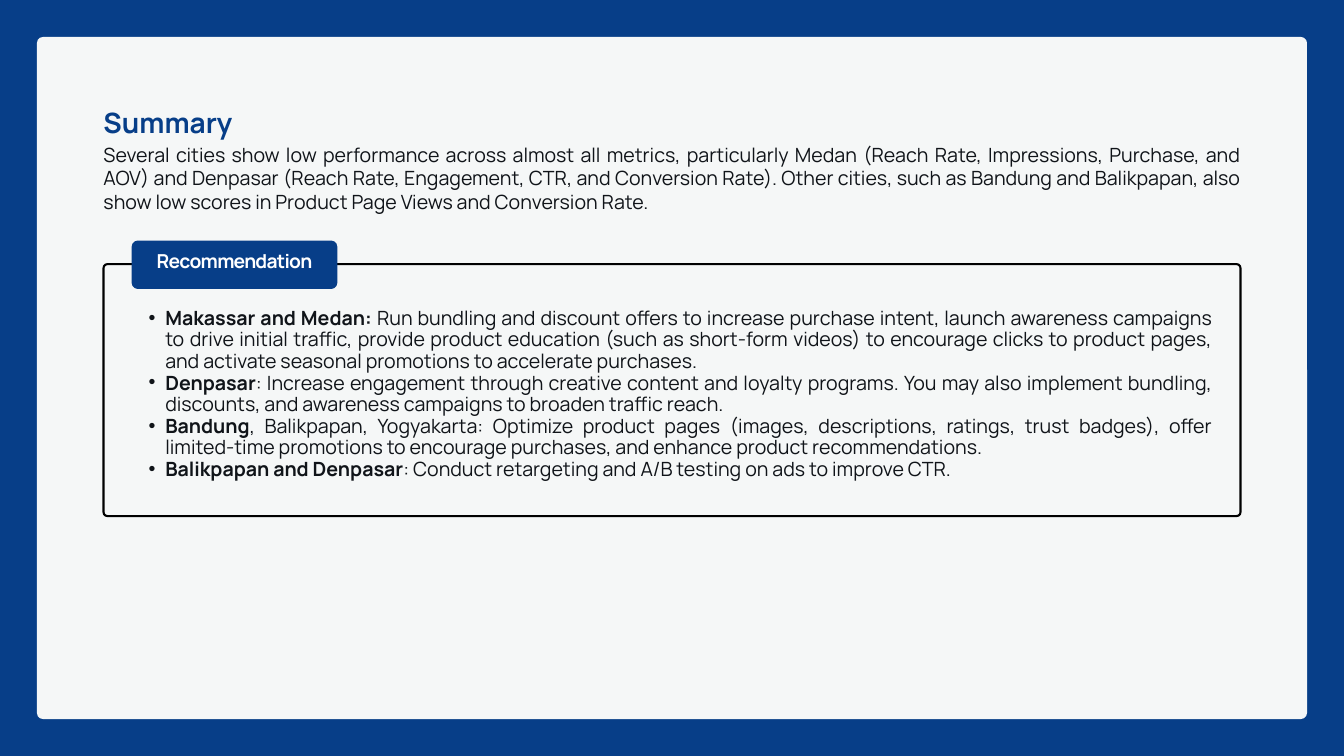
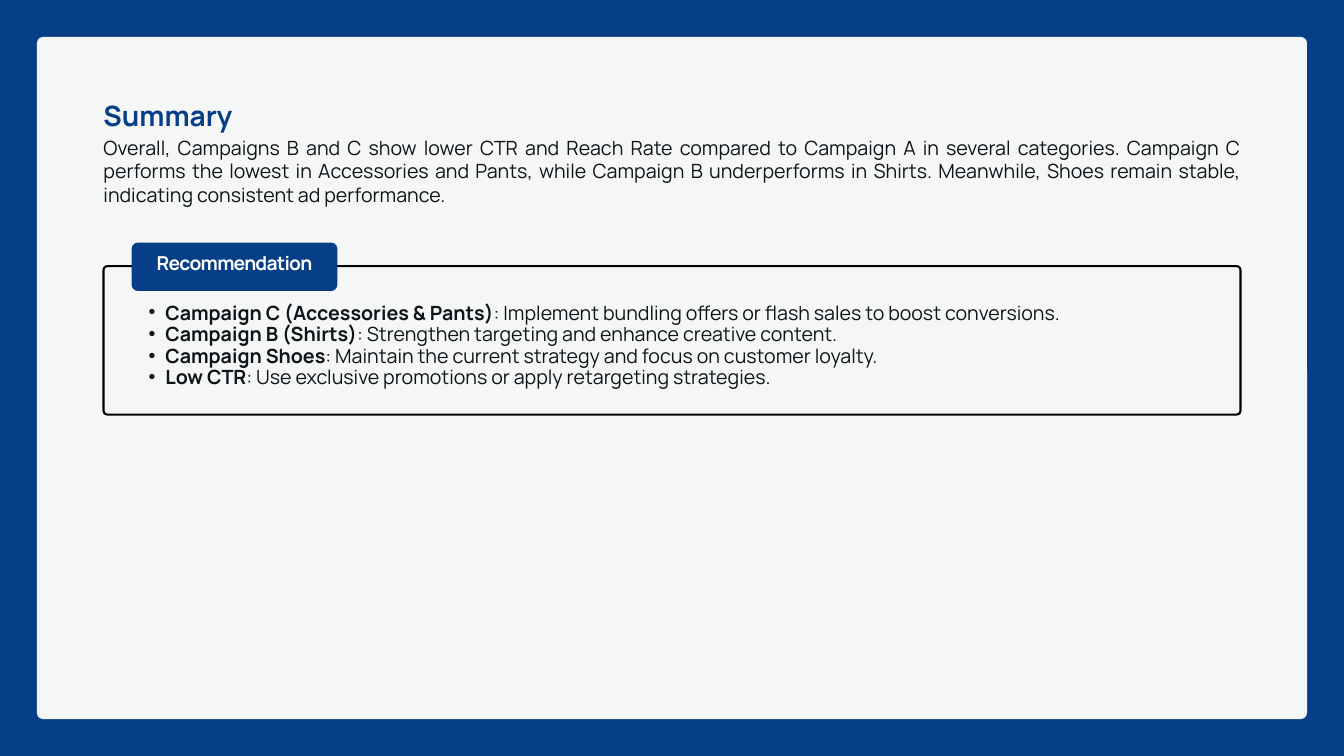
from lxml import etree
from pptx import Presentation
from pptx.dml.color import RGBColor
from pptx.enum import shapes, text
from pptx.oxml import ns
from pptx.util import Pt

PX = 9144
BLUE = RGBColor(0x07, 0x3E, 0x88)
PAPER = RGBColor(0xF5, 0xF7, 0xF7)
INK = RGBColor(0x10, 0x14, 0x19)
BLACK = RGBColor(0, 0, 0)
WHITE = RGBColor(255, 255, 255)
FONT = "Manrope"
LEFT, WIDTH = 154, 1692
INNER_LEFT, INNER_WIDTH = 196, 1608

SLIDES = [
    dict(
        title_top=165,
        summary="Several cities show low performance across almost all metrics, particularly Medan (Reach Rate, Impressions, Purchase, and AOV) and Denpasar (Reach Rate, Engagement, CTR, and Conversion Rate). Other cities, such as Bandung and Balikpapan, also show low scores in Product Page Views and Conversion Rate.",
        frame_top=393, frame_height=375, list_top=458, list_height=253,
        advice=[
            ("Makassar and Medan: ", "Run bundling and discount offers to increase purchase intent, launch awareness campaigns to drive initial traffic, provide product education (such as short-form videos) to encourage clicks to product pages, and activate seasonal promotions to accelerate purchases."),
            ("Denpasar", ": Increase engagement through creative content and loyalty programs. You may also implement bundling, discounts, and awareness campaigns to broaden traffic reach."),
            ("Bandung", ", Balikpapan, Yogyakarta: Optimize product pages (images, descriptions, ratings, trust badges), offer limited-time promotions to encourage purchases, and enhance product recommendations."),
            ("Balikpapan and Denpasar", ": Conduct retargeting and A/B testing on ads to improve CTR."),
        ],
    ),
    dict(
        title_top=155,
        summary="Overall, Campaigns B and C show lower CTR and Reach Rate compared to Campaign A in several categories. Campaign C performs the lowest in Accessories and Pants, while Campaign B underperforms in Shirts. Meanwhile, Shoes remain stable, indicating consistent ad performance.",
        frame_top=396, frame_height=221, list_top=450, list_height=128,
        advice=[
            ("Campaign C (Accessories & Pants)", ": Implement bundling offers or flash sales to boost conversions."),
            ("Campaign B (Shirts)", ": Strengthen targeting and enhance creative content."),
            ("Campaign Shoes", ": Maintain the current strategy and focus on customer loyalty."),
            ("Low CTR", ": Use exclusive promotions or apply retargeting strategies."),
        ],
    ),
]


def add_panel(page, left, top, width, height, radius, fill, outline=None):
    panel = page.shapes.add_shape(shapes.MSO_SHAPE.ROUNDED_RECTANGLE,
                                  left * PX, top * PX, width * PX, height * PX)
    panel.adjustments[0] = radius / min(width, height)
    panel.shadow.inherit = False
    panel.fill.solid()
    panel.fill.fore_color.rgb = fill
    if outline is None:
        panel.line.fill.background()
    else:
        panel.line.color.rgb = outline
        panel.line.width = Pt(2.25)


def add_text(page, left, top, width, height, paragraphs, size=21, color=INK,
             align=text.PP_ALIGN.JUSTIFY, spacing=25.2, tracking=0, bullet=False):
    box = page.shapes.add_textbox(left * PX, top * PX, width * PX, height * PX)
    frame = box.text_frame
    frame.word_wrap = True
    frame.auto_size = text.MSO_AUTO_SIZE.SHAPE_TO_FIT_TEXT
    frame.margin_left = frame.margin_top = frame.margin_right = frame.margin_bottom = 0
    for index, (strong, plain) in enumerate(paragraphs):
        para = frame.paragraphs[0] if index == 0 else frame.add_paragraph()
        para.alignment = align
        para.line_spacing = Pt(spacing)
        if bullet:
            para.level = 1
            properties = para._p.get_or_add_pPr()
            properties.set("marL", str(50 * PX))
            properties.set("indent", str(-25 * PX))
            etree.SubElement(properties, ns.qn("a:buFont")).set("typeface", "Arial")
            etree.SubElement(properties, ns.qn("a:buChar")).set("char", "•")
        for wording, bold in ((strong, True), (plain, False)):
            if wording:
                span = para.add_run()
                span.text = wording
                span.font.name = FONT
                span.font.size = Pt(size)
                span.font.bold = bold
                span.font.color.rgb = color
                if tracking:
                    span.font._element.set("spc", str(tracking))


deck = Presentation()
deck.slide_width = 2000 * PX
deck.slide_height = 1125 * PX

for content in SLIDES:
    page = deck.slides.add_slide(deck.slide_layouts[6])
    page.background.fill.solid()
    page.background.fill.fore_color.rgb = BLUE
    add_panel(page, 55, 55, 1890, 1015, 9, PAPER)

    title_top = content["title_top"]
    add_text(page, LEFT, title_top, 756, 45, [("Summary", "")], size=30, color=BLUE,
             align=text.PP_ALIGN.LEFT, spacing=30)
    add_text(page, LEFT, title_top + 47, WIDTH, 105, [("", content["summary"])])

    frame_top = content["frame_top"]
    add_panel(page, LEFT, frame_top, WIDTH, content["frame_height"], 6, PAPER, BLACK)
    add_panel(page, INNER_LEFT, frame_top - 35, 306, 72, 9, BLUE)
    add_text(page, INNER_LEFT + 14, frame_top - 19, 278, 34, [("Recommendation", "")],
             size=20.6, color=WHITE, align=text.PP_ALIGN.CENTER, spacing=22.7, tracking=-80)
    add_text(page, INNER_LEFT, content["list_top"], INNER_WIDTH, content["list_height"],
             content["advice"], spacing=23.1, bullet=True)

deck.save("out.pptx")
